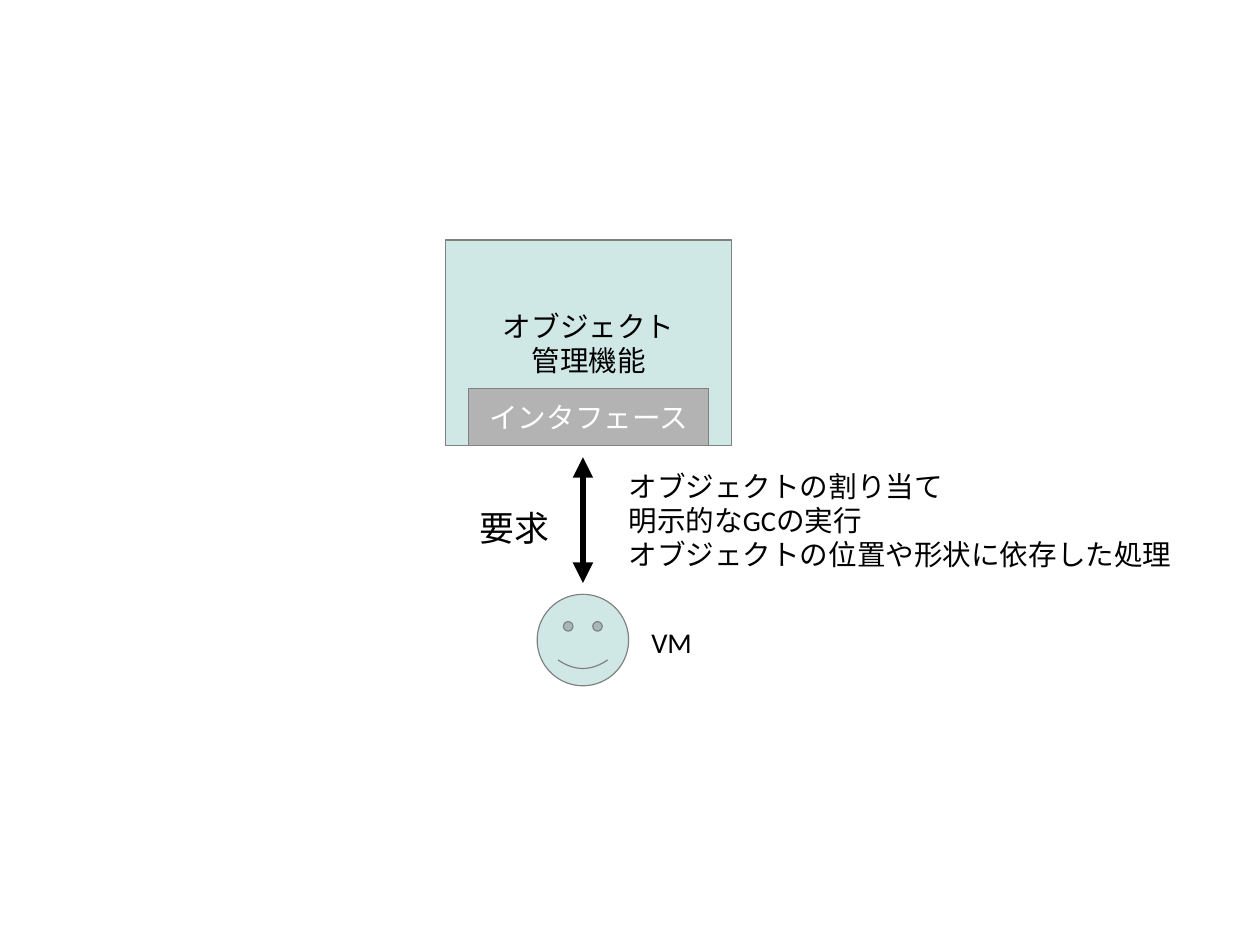
from dataclasses import dataclass

from lxml.etree import SubElement
from pptx import Presentation
from pptx.dml.color import RGBColor
from pptx.enum.shapes import MSO_CONNECTOR, MSO_SHAPE
from pptx.enum.text import MSO_ANCHOR, MSO_AUTO_SIZE, PP_ALIGN
from pptx.oxml.ns import qn
from pptx.util import Pt


@dataclass(frozen=True)
class Theme:
    """Colours, font and sizes of the slide."""
    mint: RGBColor = RGBColor(0xCF, 0xE7, 0xE5)
    grey: RGBColor = RGBColor(0xB3, 0xB3, 0xB3)
    outline: RGBColor = RGBColor(0x80, 0x80, 0x80)
    black: RGBColor = RGBColor(0, 0, 0)
    white: RGBColor = RGBColor(0xFF, 0xFF, 0xFF)
    font: str = "Calibri"
    body: float = 18
    label: float = 22
    hairline: float = 0
    arrow: float = 4.31


THEME = Theme()


def write(tf, lines, size, color, align):
    """Fill a text frame with one paragraph per line."""
    tf.word_wrap = False
    for i, line in enumerate(lines):
        p = tf.paragraphs[0] if i == 0 else tf.add_paragraph()
        p.alignment = align
        r = p.add_run()
        r.text = line
        r.font.size = Pt(size)
        r.font.name = THEME.font
        r.font.color.rgb = color


def add_text(s, box, lines, size=THEME.body):
    """Add a left-aligned text box that grows with its text."""
    tf = s.shapes.add_textbox(*map(Pt, box)).text_frame
    write(tf, lines, size, THEME.black, PP_ALIGN.LEFT)
    tf.auto_size = MSO_AUTO_SIZE.SHAPE_TO_FIT_TEXT


def add_block(s, kind, box, fill, lines=(), color=THEME.black):
    """Add a filled shape with a hairline outline and centred text."""
    sp = s.shapes.add_shape(kind, *map(Pt, box))
    sp.shadow.inherit = False
    sp.fill.solid()
    sp.fill.fore_color.rgb = fill
    sp.line.color.rgb = THEME.outline
    sp.line.width = Pt(THEME.hairline)
    sp.text_frame.vertical_anchor = MSO_ANCHOR.MIDDLE
    write(sp.text_frame, lines, THEME.body, color, PP_ALIGN.CENTER)


def add_double_arrow(s, x, top, bottom):
    """Add a vertical line with a triangle at both ends."""
    cx = s.shapes.add_connector(MSO_CONNECTOR.STRAIGHT, Pt(x), Pt(top), Pt(x), Pt(bottom))
    cx.line.color.rgb = THEME.black
    cx.line.width = Pt(THEME.arrow)
    ln = cx.line._get_or_add_ln()
    for end in ("a:headEnd", "a:tailEnd"):
        SubElement(ln, qn(end), type="triangle")
    SubElement(cx._element.spPr, qn("a:effectLst"))


def add_manager(s, x, y, w, h):
    """Place the object manager with its interface at the bottom edge."""
    margin, bar = 14.4, 36
    add_block(s, MSO_SHAPE.RECTANGLE, (x, y, w, h), THEME.mint,
              ["オブジェクト", "管理機能"])
    add_block(s, MSO_SHAPE.RECTANGLE, (x + margin, y + h - bar, w - 2 * margin, bar),
              THEME.grey, ["インタフェース"], THEME.white)


def add_requests(s, x, y, w, h):
    """Place the request label, the arrow and the list of requests."""
    list_left = 93.6
    add_text(s, (x, y + 27.36, 58.32, 38.88), ["要求"], THEME.label)
    add_double_arrow(s, x + 72, y, y + h)
    add_text(s, (x + list_left, y + 3.6, w - list_left, 85.68),
             ["オブジェクトの割り当て", "明示的なGCの実行",
              "オブジェクトの位置や形状に依存した処理"])


def add_vm(s, x, y, w, h):
    """Place the smiley that stands for the VM, and its label."""
    add_block(s, MSO_SHAPE.SMILEY_FACE, (x, y, w, h), THEME.mint)
    add_text(s, (x + w + 7.2, y + 15.84, 41.04, 31.68), ["VM"])


def main():
    """Build the slide and save it."""
    prs = Presentation()
    prs.slide_width, prs.slide_height = Pt(793.7), Pt(595.28)
    s = prs.slides.add_slide(prs.slide_layouts[6])
    add_manager(s, 280.8, 151.2, 180, 129.6)
    add_requests(s, 295.2, 288, 450, 79.2)
    add_vm(s, 338.4, 374.4, 57.6, 57.6)
    prs.save("out.pptx")


if __name__ == "__main__":
    main()
